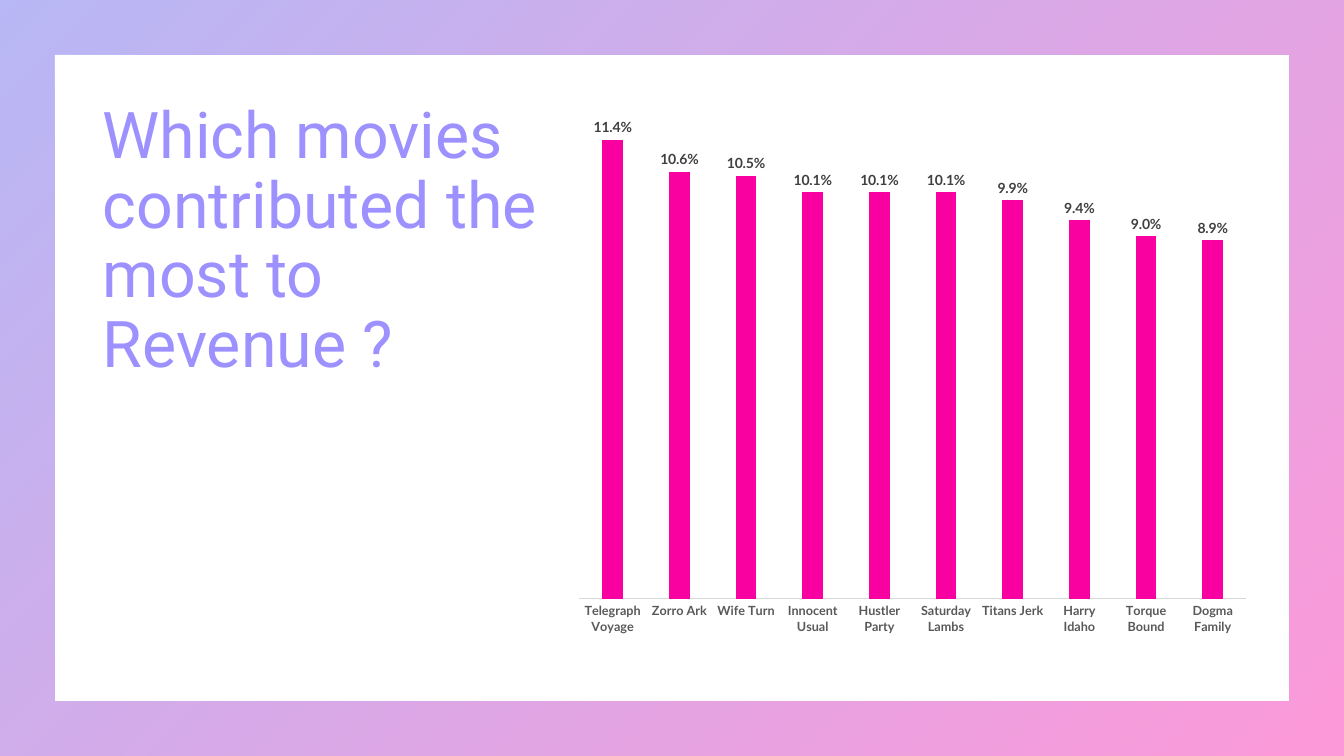
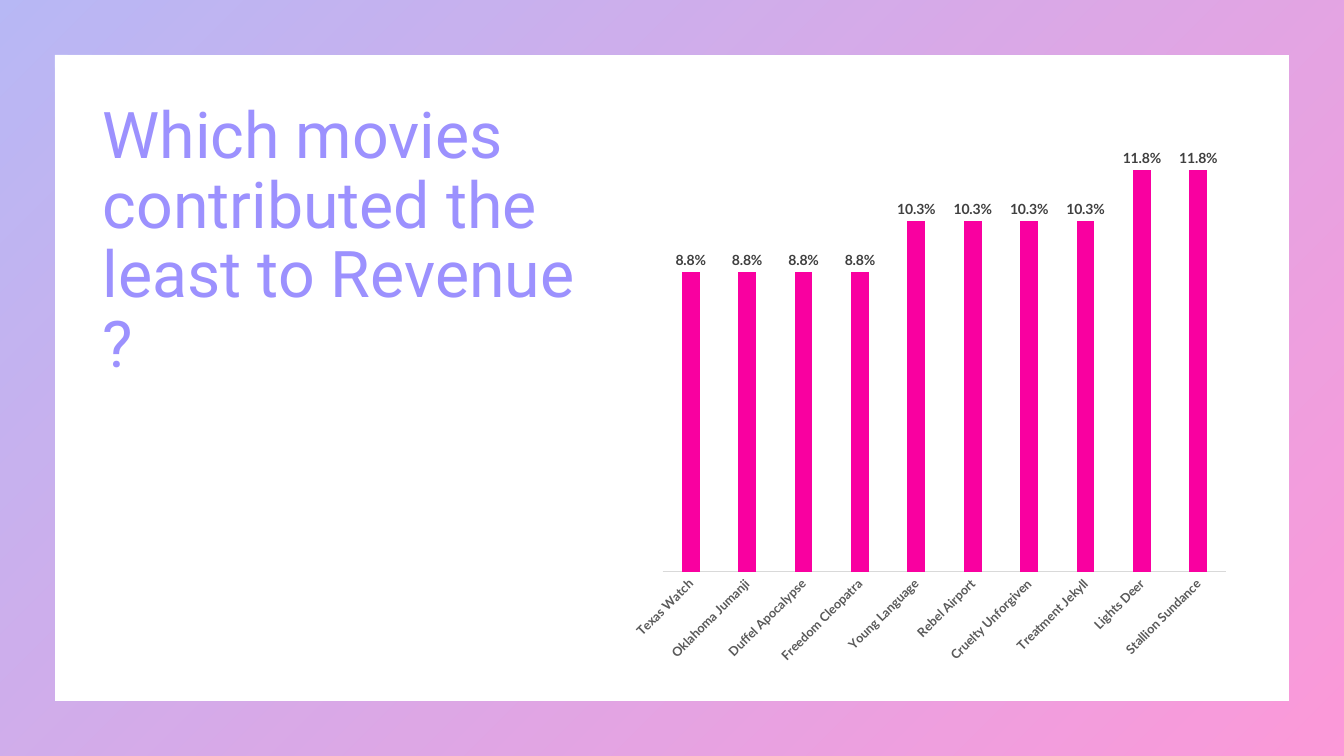
from lxml.etree import SubElement
from pptx import Presentation
from pptx.chart.data import CategoryChartData
from pptx.dml.color import RGBColor
from pptx.enum.chart import XL_CHART_TYPE, XL_LABEL_POSITION, XL_TICK_MARK
from pptx.enum.shapes import MSO_SHAPE
from pptx.enum.text import MSO_ANCHOR, MSO_AUTO_SIZE, PP_ALIGN
from pptx.oxml.ns import qn
from pptx.util import Pt

INDIGO = RGBColor(0x4D, 0x4E, 0xE6)
PINK = RGBColor(0xF9, 0x00, 0xA0)
LAVENDER = RGBColor(0x9C, 0x91, 0xFE)
LABEL_GRAY = RGBColor(0x40, 0x40, 0x40)
AXIS_GRAY = RGBColor(0x59, 0x59, 0x59)
LINE_GRAY = RGBColor(0xD9, 0xD9, 0xD9)
BLACK = RGBColor(0, 0, 0)
PERCENT = "0.0%"


def style_font(font, name, size, color, bold=False):
    font.name = name
    font.size = Pt(size)
    font.color.rgb = color
    font.bold = bold


def add_border(page):
    border = page.shapes.add_shape(
        MSO_SHAPE.FRAME, 0, 0, deck.slide_width, deck.slide_height)
    border.adjustments[0] = 0.072
    border.shadow.inherit = False
    border.line.fill.background()
    border.fill.gradient()
    border.fill.gradient_angle = 315
    for stop, color in zip(border.fill.gradient_stops, (INDIGO, PINK)):
        stop.color.rgb = color
    for color_element in border.element.spPr.iter(qn("a:srgbClr")):
        SubElement(color_element, qn("a:alpha")).set("val", "40000")
    page.shapes.element.insert(2, border.element)


deck = Presentation()
deck.slide_width = Pt(960)
deck.slide_height = Pt(540)
title_only = deck.slide_layouts[5]

questions = [
    {
        "title": "Which movies contributed the most to Revenue ?",
        "title_width": 337.7,
        "chart_box": (403.9, 74.9, 496.1, 385.9),
        "axis_top": 0.12,
        "label_turn": 0,
        "shares": {
            "Telegraph Voyage": 0.114, "Zorro Ark": 0.106,
            "Wife Turn": 0.105, "Innocent Usual": 0.101,
            "Hustler Party": 0.101, "Saturday Lambs": 0.101,
            "Titans Jerk": 0.099, "Harry Idaho": 0.094,
            "Torque Bound": 0.09, "Dogma Family": 0.089,
        },
    },
    {
        "title": "Which movies contributed the least to Revenue ?",
        "title_width": 354.2,
        "chart_box": (443.5, 59.8, 441.4, 422.6),
        "axis_top": 0.14,
        "label_turn": -45,
        "shares": {
            "Texas Watch": 0.088, "Oklahoma Jumanji": 0.088,
            "Duffel Apocalypse": 0.088, "Freedom Cleopatra": 0.088,
            "Young Language": 0.103, "Rebel Airport": 0.103,
            "Cruelty Unforgiven": 0.103, "Treatment Jekyll": 0.103,
            "Lights Deer": 0.118, "Stallion Sundance": 0.118,
        },
    },
]

for question in questions:
    page = deck.slides.add_slide(title_only)
    add_border(page)

    title = page.shapes.title
    title.left, title.top = Pt(66.2), Pt(68.6)
    title.width, title.height = Pt(question["title_width"]), Pt(207.4)
    title.text_frame.text = question["title"]
    title.text_frame.word_wrap = True
    title.text_frame.auto_size = MSO_AUTO_SIZE.NONE
    title.text_frame.vertical_anchor = MSO_ANCHOR.BOTTOM
    para = title.text_frame.paragraphs[0]
    para.alignment = PP_ALIGN.LEFT
    para.line_spacing = 0.9
    style_font(para.font, "Roboto", 46, LAVENDER)

    chart_data = CategoryChartData(number_format=PERCENT)
    chart_data.categories = list(question["shares"])
    chart_data.add_series("Series 1", list(question["shares"].values()))
    chart_box = [Pt(length) for length in question["chart_box"]]
    chart = page.shapes.add_chart(
        XL_CHART_TYPE.COLUMN_CLUSTERED, *chart_box, chart_data).chart
    chart.has_legend = False
    chart.has_title = False
    style_font(chart.font, "Lato", 10, BLACK)

    value_axis = chart.value_axis
    value_axis.minimum_scale = 0
    value_axis.maximum_scale = question["axis_top"]
    value_axis.has_major_gridlines = False
    value_axis.tick_labels.number_format = PERCENT
    value_axis.tick_labels.number_format_is_linked = False
    value_axis.visible = False

    movie_axis = chart.category_axis
    movie_axis.major_tick_mark = XL_TICK_MARK.NONE
    movie_axis.minor_tick_mark = XL_TICK_MARK.NONE
    movie_axis.format.line.color.rgb = LINE_GRAY
    movie_axis.format.line.width = Pt(0.75)
    style_font(movie_axis.tick_labels.font, "Lato", 9, AXIS_GRAY, True)
    label_body = chart.element.find(
        ".//" + "/".join(qn(tag) for tag in ("c:catAx", "c:txPr", "a:bodyPr")))
    label_body.set("rot", str(question["label_turn"] * 60000))

    plot = chart.plots[0]
    plot.gap_width = 219
    plot.overlap = -27
    plot.vary_by_categories = False
    columns = plot.series[0]
    columns.format.fill.solid()
    columns.format.fill.fore_color.rgb = PINK
    labels = columns.data_labels
    labels.show_value = True
    labels.position = XL_LABEL_POSITION.OUTSIDE_END
    labels.number_format = PERCENT
    labels.number_format_is_linked = False
    style_font(labels.font, "Lato", 10, LABEL_GRAY, True)

deck.save("out.pptx")
